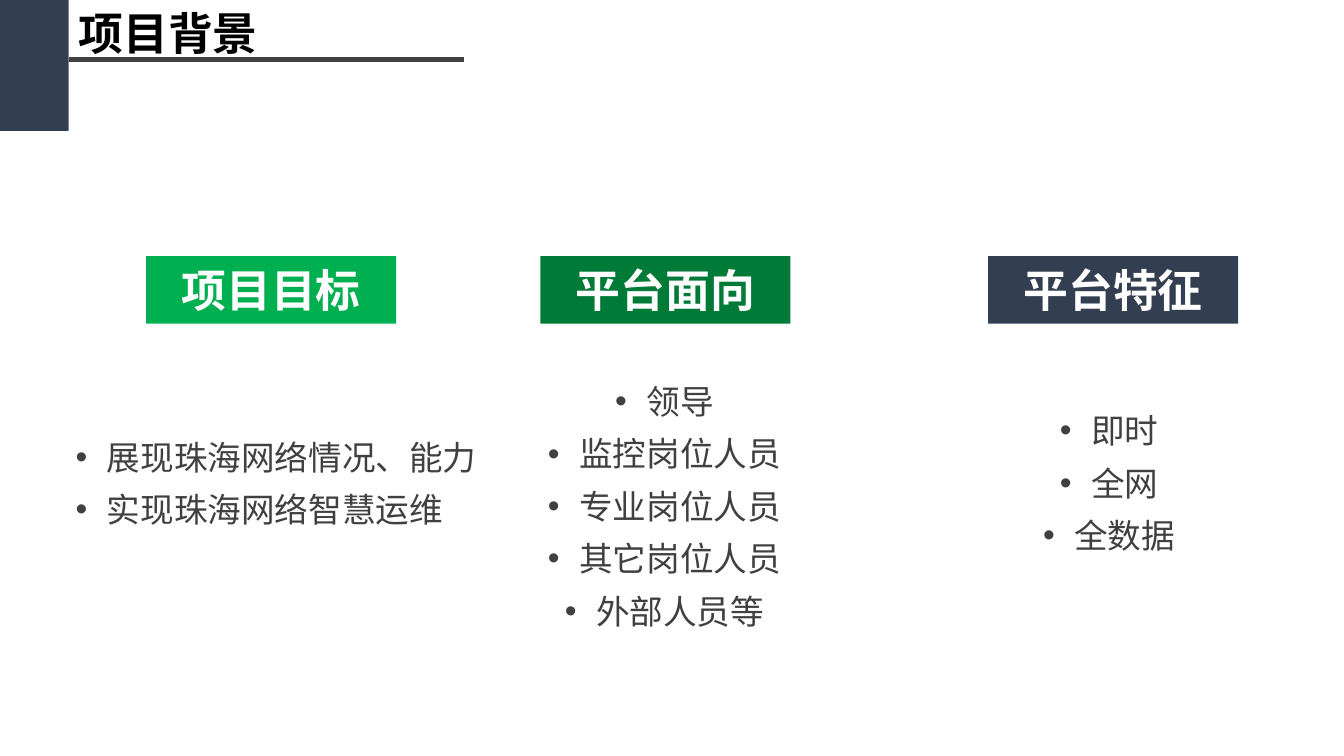
"""Build the project background slide with three headed bullet columns."""
from lxml import etree
from pptx import Presentation
from pptx.dml.color import RGBColor
from pptx.enum import shapes, text
from pptx.oxml.ns import qn
from pptx.util import Inches, Pt

COLORS = {
    "navy": "333F50", "green": "00B050", "forest": "007A37",
    "gray": "404040", "black": "000000", "white": "FFFFFF",
}
CJK_FONT = "Noto Sans CJK SC"
HEADING_FONT = "Calibri"
TITLE = "项目背景"
LEFT, CENTER = text.PP_ALIGN.LEFT, text.PP_ALIGN.CENTER
COLUMNS = [
    {"heading": "项目目标", "color": "green", "left": 1.45,
     "list_at": (0.68, 4.17, 4.27, 1.13), "align": LEFT,
     "items": ["展现珠海网络情况、能力", "实现珠海网络智慧运维"]},
    {"heading": "平台面向", "color": "forest", "left": 5.36,
     "list_at": (5.14, 3.62, 2.9, 2.7), "align": CENTER,
     "items": ["领导", "监控岗位人员", "专业岗位人员", "其它岗位人员", "外部人员等"]},
    {"heading": "平台特征", "color": "navy", "left": 9.8,
     "list_at": (9.03, 3.91, 3.94, 1.65), "align": CENTER,
     "items": ["即时", "全网", "全数据"]},
]
HEADING_TOP, HEADING_WIDTH, HEADING_HEIGHT = 2.54, 2.48, 0.67
BULLET_INDENT = 0.31


def rgb(name):
    return RGBColor.from_string(COLORS[name])


def add_span(para, words, size, font, color, bold=False):
    span = para.add_run()
    span.text = words
    span.font.size = Pt(size)
    span.font.name = font
    span.font.bold = bold
    span.font.color.rgb = rgb(color)
    east_asian = etree.SubElement(span.font._element, qn("a:ea"))
    east_asian.set("typeface", CJK_FONT)


def add_block(page, place, color):
    block = page.shapes.add_shape(
        shapes.MSO_SHAPE.RECTANGLE, *[Inches(length) for length in place])
    block.shadow.inherit = False
    block.fill.solid()
    block.fill.fore_color.rgb = rgb(color)
    block.line.fill.background()
    return block


def add_text_box(page, place):
    box = page.shapes.add_textbox(*[Inches(length) for length in place])
    box.text_frame.word_wrap = True
    box.text_frame.auto_size = text.MSO_AUTO_SIZE.SHAPE_TO_FIT_TEXT
    return box.text_frame


def add_heading(page, column):
    place = (column["left"], HEADING_TOP, HEADING_WIDTH, HEADING_HEIGHT)
    frame = add_block(page, place, column["color"]).text_frame
    frame.vertical_anchor = text.MSO_ANCHOR.MIDDLE
    para = frame.paragraphs[0]
    para.alignment = CENTER
    add_span(para, column["heading"], 32, HEADING_FONT, "white", bold=True)


def add_bullet(para):
    properties = para._p.get_or_add_pPr()
    properties.set("marL", str(Inches(BULLET_INDENT)))
    properties.set("indent", str(-Inches(BULLET_INDENT)))
    etree.SubElement(properties, qn("a:buFont")).set("typeface", "Arial")
    etree.SubElement(properties, qn("a:buChar")).set("char", "•")


def add_list(page, column):
    frame = add_text_box(page, column["list_at"])
    frame.margin_left = frame.margin_right = Inches(0.07)
    frame.margin_top = frame.margin_bottom = Inches(0.04)
    for index, item in enumerate(column["items"]):
        para = frame.add_paragraph() if index else frame.paragraphs[0]
        para.alignment = column["align"]
        para.line_spacing = 1.3
        add_bullet(para)
        add_span(para, item, 24, CJK_FONT, "gray")


def add_title(page):
    add_block(page, (0, 0, 0.68, 1.3), "navy")
    rule = page.shapes.add_connector(
        shapes.MSO_CONNECTOR.STRAIGHT,
        Inches(0.68), Inches(0.59), Inches(4.6), Inches(0.59))
    rule.line.color.rgb = rgb("gray")
    rule.line.width = Pt(3)
    etree.SubElement(rule._element.spPr, qn("a:effectLst"))
    frame = add_text_box(page, (0.68, 0.01, 2.01, 0.64))
    add_span(frame.paragraphs[0], TITLE, 32, CJK_FONT, "black", bold=True)


def main():
    deck = Presentation()
    deck.slide_width, deck.slide_height = Inches(13.33), Inches(7.5)
    page = deck.slides.add_slide(deck.slide_layouts[6])
    add_title(page)
    for column in COLUMNS:
        add_heading(page, column)
        add_list(page, column)
    deck.save("out.pptx")


if __name__ == "__main__":
    main()
